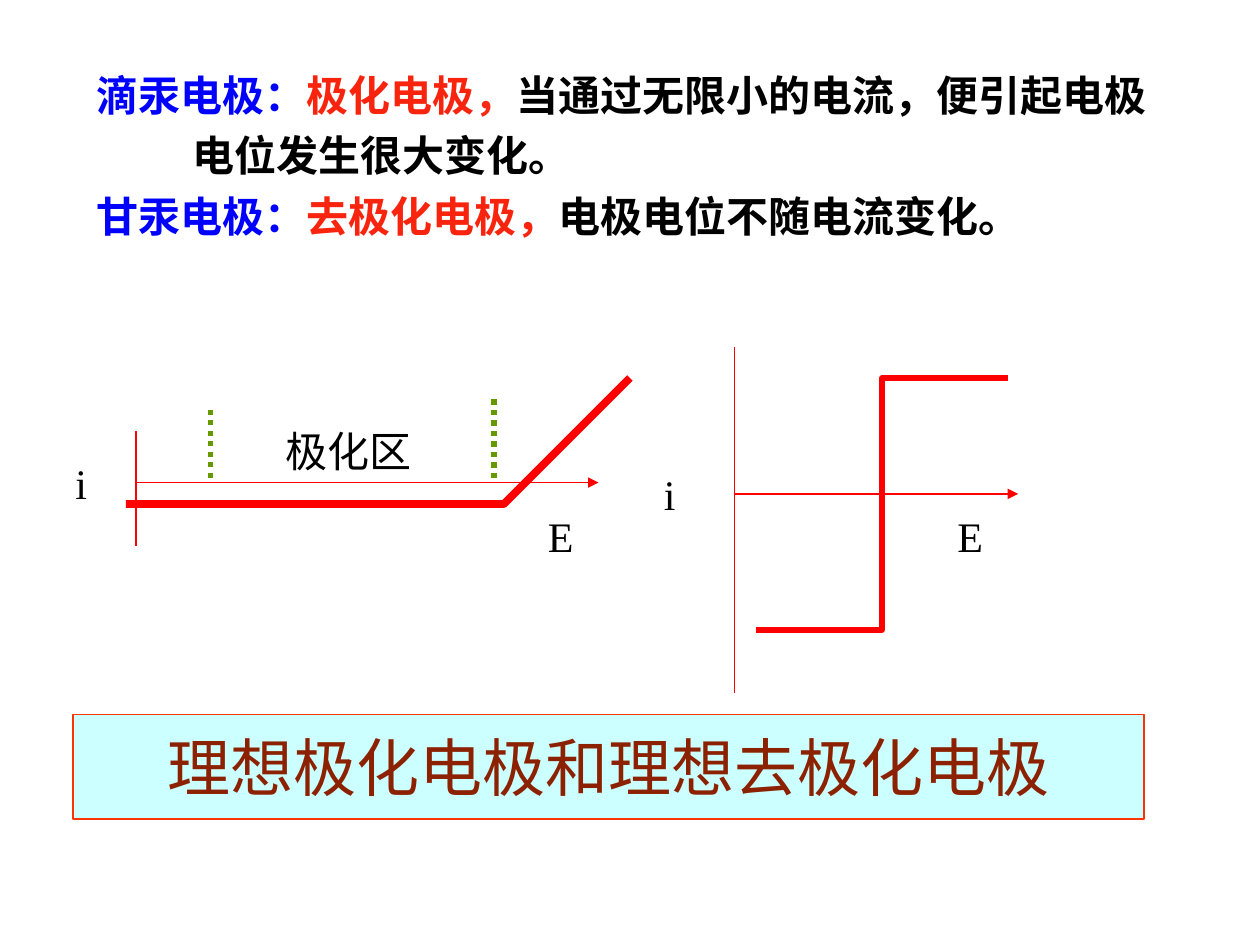
from dataclasses import dataclass

from pptx import Presentation
from pptx.dml.color import RGBColor as Rgb
from pptx.enum.dml import MSO_LINE_DASH_STYLE as Dash
from pptx.enum.shapes import MSO_CONNECTOR as Connector
from pptx.enum.text import MSO_ANCHOR as Anchor, MSO_AUTO_SIZE as AutoSize, PP_ALIGN as Align
from pptx.oxml.ns import qn
from pptx.util import Inches, Pt


@dataclass(frozen=True)
class Theme:
    latin: str = "Times New Roman"
    chinese: str = "Noto Sans CJK SC"
    text_size: int = 24
    title_size: int = 36
    thin: float = 0.75
    black: str = "000000"
    blue: str = "0000FF"
    red: str = "F8240E"
    comma_red: str = "FB2913"
    plot_red: str = "FF0000"
    green: str = "669900"
    title_text: str = "8C2100"
    title_fill: str = "CCFFFF"
    title_line: str = "FF3300"


class SlideBuilder:
    def __init__(self, slide, theme):
        self.slide = slide
        self.theme = theme

    def add_span(self, para, text, color, size, font, bold=False):
        span = para.add_run()
        span.text = text
        span.font.name = font
        span.font.size = Pt(size)
        span.font.bold = bold
        span.font.color.rgb = Rgb.from_string(color)
        east_asian = span.font._element.makeelement(qn("a:ea"), {"typeface": self.theme.chinese})
        span.font._element.find(qn("a:latin")).addnext(east_asian)

    def style_line(self, line, color, width):
        line.color.rgb = Rgb.from_string(color)
        line.width = Pt(width)

    def title(self, text, left, top, width, height):
        box = self.slide.shapes.title
        box.left, box.top, box.width, box.height = map(Inches, (left, top, width, height))
        box.fill.solid()
        box.fill.fore_color.rgb = Rgb.from_string(self.theme.title_fill)
        self.style_line(box.line, self.theme.title_line, self.theme.thin)
        frame = box.text_frame
        frame.auto_size = AutoSize.NONE
        frame.vertical_anchor = Anchor.MIDDLE
        para = frame.paragraphs[0]
        para.alignment = Align.CENTER
        self.add_span(para, text, self.theme.title_text, self.theme.title_size, self.theme.latin)

    def text_frame(self, left, top, width, height):
        box = self.slide.shapes.add_textbox(*map(Inches, (left, top, width, height)))
        box.text_frame.word_wrap = True
        return box.text_frame

    def label(self, text, left, top, width):
        frame = self.text_frame(left, top, width, 0.5)
        self.add_span(frame.paragraphs[0], text, self.theme.black,
                      self.theme.text_size, self.theme.latin)

    def statements(self, lines, left, top, width, height):
        """Each line is an indent and a list of (text, color) spans."""
        frame = self.text_frame(left, top, width, height)
        for number, (indent, spans) in enumerate(lines):
            para = frame.add_paragraph() if number else frame.paragraphs[0]
            para.line_spacing = 1.2
            if indent:
                para._p.get_or_add_pPr().set("marL", str(Inches(indent)))
            for text, color in spans:
                self.add_span(para, text, color, self.theme.text_size,
                              self.theme.chinese, bold=True)

    def line(self, start, end, color, width, dash=None, arrow=False):
        connector = self.slide.shapes.add_connector(
            Connector.STRAIGHT, *map(Inches, (*start, *end)))
        self.style_line(connector.line, color, width)
        if dash:
            connector.line.dash_style = dash
        properties = connector._element.spPr
        if arrow:
            outline = connector.line._get_or_add_ln()
            outline.append(outline.makeelement(qn("a:tailEnd"), {"type": "triangle"}))
        properties.append(properties.makeelement(qn("a:effectLst"), {}))

    def axes(self, origin, top, bottom, right):
        x, y = origin
        self.line((x, top), (x, bottom), self.theme.plot_red, self.theme.thin)
        self.line(origin, (right, y), self.theme.plot_red, self.theme.thin, arrow=True)

    def curve(self, points, width):
        """Draw a start point followed by three Bezier points per segment."""
        builder = self.slide.shapes.build_freeform(*points[0], scale=Inches(1))
        builder.add_line_segments(points[1:], close=False)
        shape = builder.convert_to_shape()
        shape.fill.background()
        shape.shadow.inherit = False
        self.style_line(shape.line, self.theme.plot_red, width)
        # Turn every three straight steps into one cubic segment
        outline = shape._element.find(".//" + qn("a:path"))
        steps = outline.findall(qn("a:lnTo"))
        for first in range(0, len(steps), 3):
            cubic = outline.makeelement(qn("a:cubicBezTo"), {})
            for step in steps[first:first + 3]:
                cubic.append(step[0])
                outline.remove(step)
            outline.append(cubic)


def main():
    theme = Theme()
    deck = Presentation()
    deck.slide_width, deck.slide_height = Inches(10), Inches(7.5)
    page = SlideBuilder(deck.slides.add_slide(deck.slide_layouts[5]), theme)

    # Definitions of the two electrodes
    page.statements([
        (0, [("滴汞电极：", theme.blue), ("极化电极", theme.red), ("，", theme.comma_red),
             ("当通过无限小的电流，便引起电极", theme.black)]),
        (0.76, [("电位发生很大变化。", theme.black)]),
        (0, [("甘汞电极：", theme.blue), ("去极化电极，", theme.red),
             ("电极电位不随电流变化。", theme.black)]),
    ], 0.67, 0.42, 8.83, 1.54)

    # Polarized electrode: flat current between two limits
    page.axes((1.08, 3.83), top=3.42, bottom=4.33, right=4.75)
    page.curve([
        (1.38, 4.33), (1.41, 4.28), (1.45, 4.09), (1.53, 4.01),
        (1.61, 3.93), (1.69, 3.87), (1.87, 3.84),
        (2.05, 3.81), (2.27, 3.84), (2.6, 3.84),
        (2.92, 3.84), (3.52, 3.89), (3.81, 3.86),
        (4.1, 3.83), (4.2, 3.73), (4.33, 3.65),
        (4.47, 3.57), (4.54, 3.43), (4.6, 3.37),
    ], width=4.5)
    for x, top in ((1.67, 3.25), (3.92, 3.17)):
        page.line((x, top), (x, 3.83), theme.green, 3, dash=Dash.ROUND_DOT)

    # Depolarized electrode: steep current at one potential
    page.axes((5.83, 3.92), top=2.75, bottom=5.5, right=8.08)
    page.curve([
        (6.32, 5.24), (6.4, 5.22), (6.69, 5.16), (6.81, 5.1),
        (6.93, 5.03), (6.99, 5.02), (7.04, 4.84),
        (7.09, 4.66), (7.09, 4.31), (7.1, 4.01),
        (7.11, 3.71), (7.09, 3.26), (7.13, 3.03),
        (7.17, 2.81), (7.24, 2.72), (7.34, 2.65),
        (7.44, 2.57), (7.63, 2.6), (7.7, 2.59),
    ], width=3)

    # Axis and region labels
    for text, left, top, width in (
        ("i", 0.5, 3.58, 0.5), ("E", 4.25, 4, 0.5), ("极化区", 2.17, 3.33, 1.33),
        ("i", 5.17, 3.67, 0.42), ("E", 7.5, 4, 0.5),
    ):
        page.label(text, left, top, width)

    # Title banner
    page.title("理想极化电极和理想去极化电极", 0.58, 5.67, 8.5, 0.83)

    deck.save("out.pptx")


if __name__ == "__main__":
    main()
